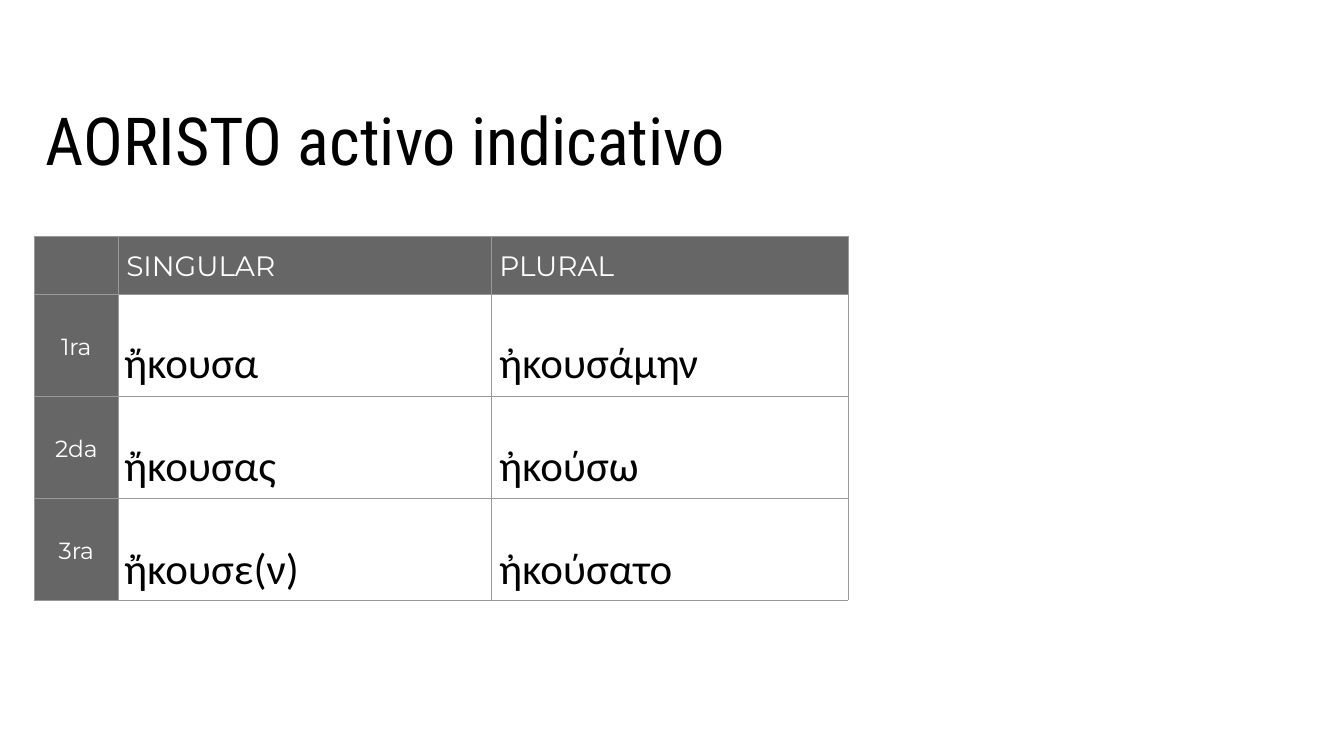
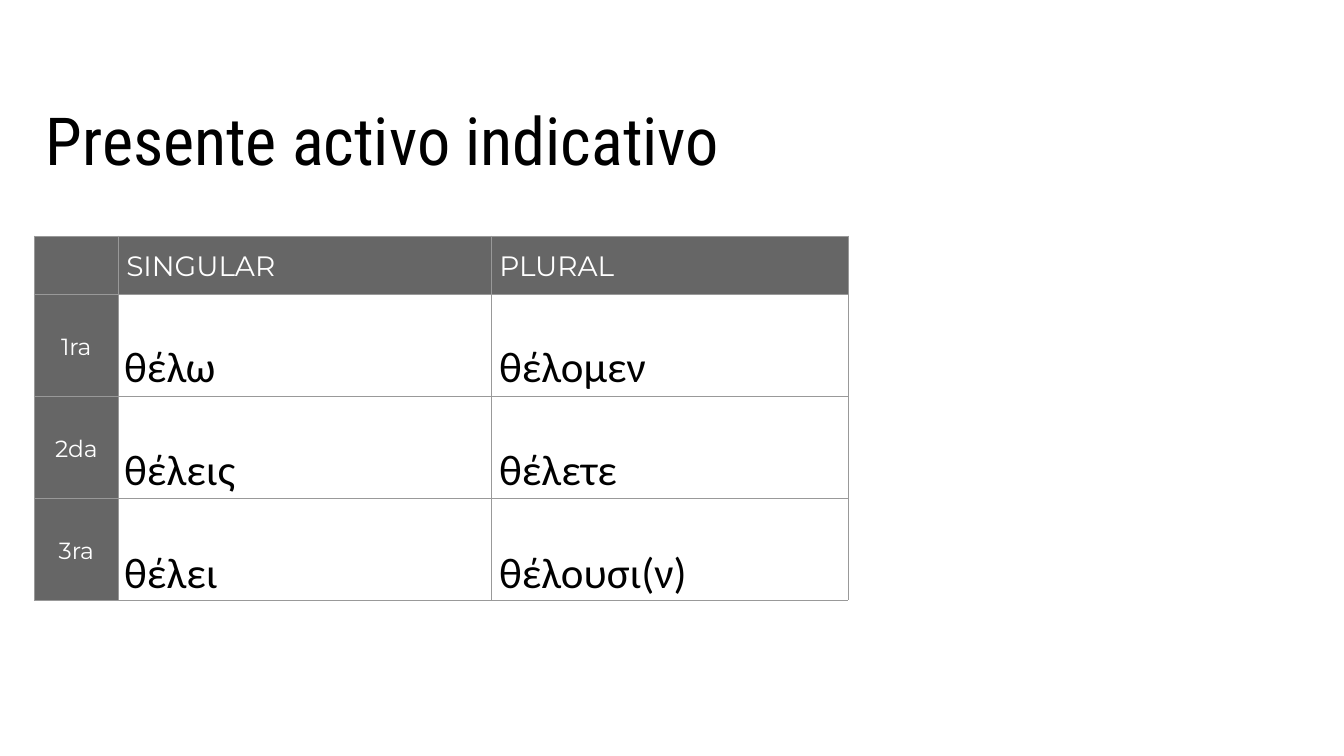
from lxml.etree import SubElement
from pptx import Presentation
from pptx.dml.color import RGBColor
from pptx.enum.text import MSO_ANCHOR as Anchor, PP_ALIGN as Align
from pptx.oxml.ns import qn
from pptx.util import Pt

PX = 9144
BLACK = RGBColor(0x00, 0x00, 0x00)
WHITE = RGBColor(0xFF, 0xFF, 0xFF)
HEADER_GRAY = RGBColor(0x66, 0x66, 0x66)
BORDER_GRAY = RGBColor(0x99, 0x99, 0x99)
TITLE_FONT, LABEL_FONT, GREEK_FONT = "Roboto Condensed", "Montserrat", "Calibri"

SLIDE_SIZE = (2000, 1125)
TITLE_BOX = (51, 131, 1682, 117)
TABLE_BOX = (51, 351, 1211, 542)
LABEL_WIDTH, SINGULAR_WIDTH = 125, 555
HEADER_HEIGHT = 87
FORMS_WIDTH, FORMS_HEIGHT = 400, 463
FORMS_OFFSETS = (-1, 2)
NUMBERS = ("SINGULAR", "PLURAL")
PERSONS = ("1ra", "2da", "3ra")

CONJUGATIONS = (
    ("AORISTO activo indicativo", 62,
     (("ἤκουσα", "ἤκουσας", "ἤκουσε(ν)"),
      ("ἠκουσάμην", "ἠκούσω", "ἠκούσατο"))),
    ("Presente activo indicativo", 67,
     (("θέλω", "θέλεις", "θέλει"),
      ("θέλομεν", "θέλετε", "θέλουσι(ν)"))),
)


def px(length):
    """Turn pixels into EMU."""
    return int(length * PX)


def write_text(frame, lines, font, size, color, align=Align.LEFT, spacing=1.0):
    """Fill a text frame with one formatted paragraph per line."""
    for index, line in enumerate(lines):
        paragraph = frame.add_paragraph() if index else frame.paragraphs[0]
        paragraph.alignment = align
        paragraph.line_spacing = spacing
        run = paragraph.add_run()
        run.text = line
        run.font.name = font
        run.font.size = Pt(size)
        run.font.color.rgb = color


def set_margins(target, margin):
    """Give a cell or text frame the same inset on all sides."""
    for side in ("left", "top", "right", "bottom"):
        setattr(target, f"margin_{side}", px(margin))


def add_text(slide, box, lines, margin, **text_format):
    """Add a wrapped text box."""
    frame = slide.shapes.add_textbox(*map(px, box)).text_frame
    frame.word_wrap = True
    set_margins(frame, margin)
    write_text(frame, lines, **text_format)


def add_borders(cell):
    """Draw thin gray lines around a cell."""
    properties = cell._tc.get_or_add_tcPr()
    for side in ("lnL", "lnR", "lnT", "lnB"):
        line = SubElement(properties, qn(f"a:{side}"), w=str(Pt(0.75)))
        fill = SubElement(line, qn("a:solidFill"))
        SubElement(fill, qn("a:srgbClr"), val=str(BORDER_GRAY))


def add_label(cell, text, margin, size, align=Align.LEFT):
    """Write a white label into a header cell."""
    set_margins(cell, margin)
    write_text(cell.text_frame, [text], font=LABEL_FONT, size=size,
               color=WHITE, align=align, spacing=1.15)


def add_grid(slide, box):
    """Add the person and number table."""
    width, height = box[2:]
    rows, columns = len(PERSONS) + 1, len(NUMBERS) + 1
    table = slide.shapes.add_table(rows, columns, *map(px, box)).table
    table.first_row = table.horz_banding = False
    widths = (LABEL_WIDTH, SINGULAR_WIDTH, width - LABEL_WIDTH - SINGULAR_WIDTH)
    for column, column_width in zip(table.columns, widths):
        column.width = px(column_width)
    for index, row in enumerate(table.rows):
        row.height = px((height - HEADER_HEIGHT) / len(PERSONS) if index else HEADER_HEIGHT)
        for position, cell in enumerate(row.cells):
            add_borders(cell)
            if index and position:
                cell.fill.background()
            else:
                cell.fill.solid()
                cell.fill.fore_color.rgb = HEADER_GRAY
    for position, number in enumerate(NUMBERS, 1):
        add_label(table.cell(0, position), number, margin=12, size=30)
    for index, person in enumerate(PERSONS, 1):
        cell = table.cell(index, 0)
        cell.vertical_anchor = Anchor.MIDDLE
        add_label(cell, person, margin=10, size=25, align=Align.CENTER)


def add_forms(slide, box, drop, forms):
    """Place the singular and plural verb forms over the grid."""
    left, top = box[:2]
    starts = (left + LABEL_WIDTH, left + LABEL_WIDTH + SINGULAR_WIDTH)
    for start, offset, lines in zip(starts, FORMS_OFFSETS, forms):
        add_text(slide, (start + offset, top + drop, FORMS_WIDTH, FORMS_HEIGHT), lines,
                 margin=10, font=GREEK_FONT, size=46, color=BLACK, spacing=2.0)


def add_conjugation_slide(presentation, title, drop, forms):
    """Add a slide with a title and a conjugation table."""
    slide = presentation.slides.add_slide(presentation.slide_layouts[6])
    add_grid(slide, TABLE_BOX)
    add_forms(slide, TABLE_BOX, drop, forms)
    add_text(slide, TITLE_BOX, [title], margin=17, font=TITLE_FONT, size=71, color=BLACK)


def main():
    """Build and save the presentation."""
    presentation = Presentation()
    presentation.slide_width, presentation.slide_height = map(px, SLIDE_SIZE)
    for conjugation in CONJUGATIONS:
        add_conjugation_slide(presentation, *conjugation)
    presentation.save("out.pptx")


if __name__ == "__main__":
    main()
